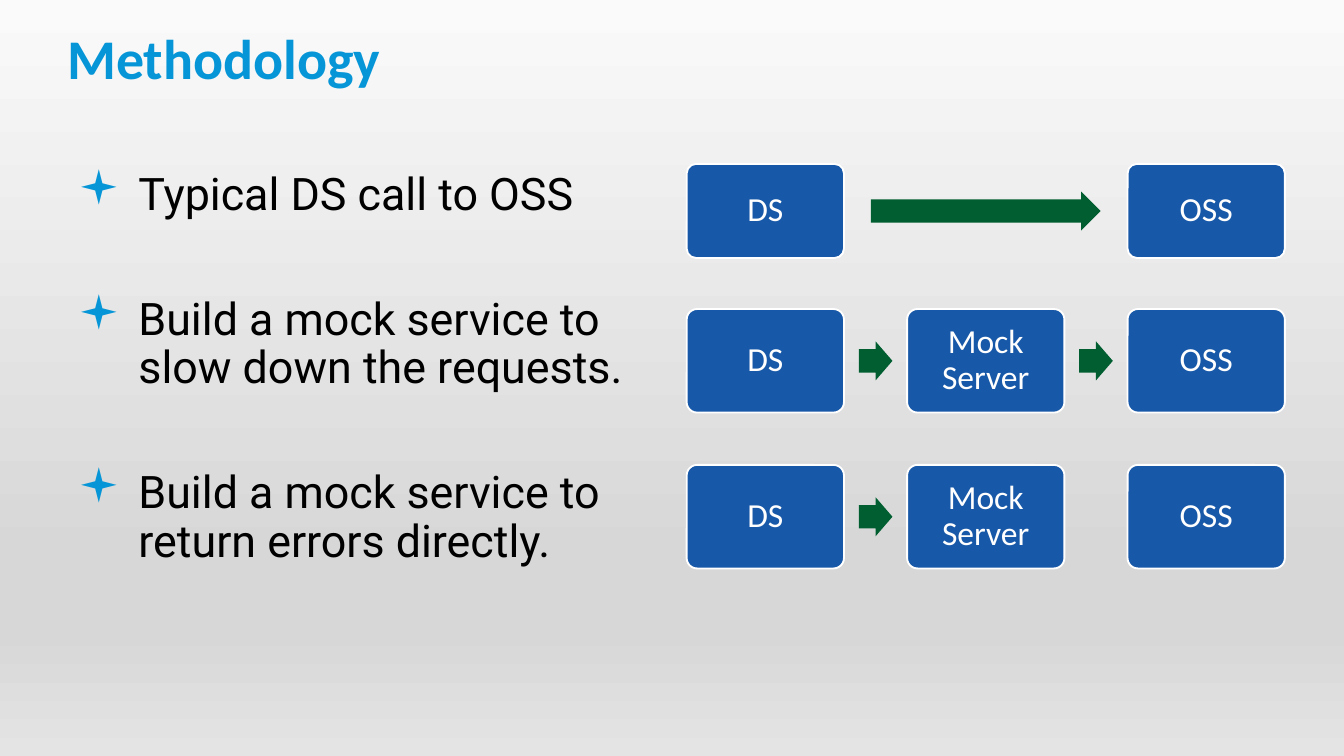
from lxml.etree import SubElement
from pptx import Presentation
from pptx.dml.color import RGBColor
from pptx.enum.shapes import MSO_SHAPE as SHAPE
from pptx.enum.text import MSO_ANCHOR as ANCHOR, PP_ALIGN as ALIGN
from pptx.oxml.ns import qn
from pptx.util import Inches, Pt

SKY = RGBColor(0x06, 0x96, 0xD7)
BLUE = RGBColor(0x18, 0x58, 0xA8)
GREEN = RGBColor(0x00, 0x5E, 0x30)
WHITE = RGBColor(0xFF, 0xFF, 0xFF)
BLACK = RGBColor(0x00, 0x00, 0x00)
BACKGROUND_STOPS = [
    (0, RGBColor(0xFA, 0xFA, 0xFA)),
    (74, RGBColor(0xD7, 0xD7, 0xD7)),
    (83, RGBColor(0xD7, 0xD7, 0xD7)),
    (100, RGBColor(0xE4, 0xE4, 0xE4)),
]

STEPS = [
    "Typical DS call to OSS",
    "Build a mock service to slow down the requests.",
    "Build a mock service to return errors directly.",
]
COLUMN_STEP = 1.64
NODE_WIDTH = 1.17
ARROW_HEIGHT = 0.29
FLOWS = [
    (1.22, 0.7, {0: "DS", 2: "OSS"}, [(0, 2, 1.71)]),
    (2.3, 0.77, {0: "DS", 1: "Mock Server", 2: "OSS"}, [(0, 1, 0.25), (1, 2, 0.25)]),
    (3.46, 0.77, {0: "DS", 1: "Mock Server", 2: "OSS"}, [(0, 1, 0.25)]),
]


def paint_background(slide):
    """Fill the slide with a vertical grey gradient."""
    fill = slide.background.fill
    fill.gradient()
    fill.gradient_angle = 270
    stops = next(slide.element.iter(qn("a:gsLst")))
    for stop in list(stops):
        stops.remove(stop)
    for percent, color in BACKGROUND_STOPS:
        stop = SubElement(stops, qn("a:gs"), pos=str(percent * 1000))
        SubElement(stop, qn("a:srgbClr"), val=str(color))


def add_run(paragraph, text, font_name, size, color, bold=False):
    """Add one styled run to a paragraph with tight lines."""
    paragraph.line_spacing = 0.9
    run = paragraph.add_run()
    run.text = text
    run.font.name = font_name
    run.font.size = Pt(size)
    run.font.bold = bold
    run.font.color.rgb = color


def add_text_frame(slide, left, top, width, height, inset=0):
    """Add a wrapping text box and return its text frame."""
    box = slide.shapes.add_textbox(Inches(left), Inches(top), Inches(width), Inches(height))
    frame = box.text_frame
    frame.word_wrap = True
    frame.margin_left = Inches(inset)
    frame.margin_top = frame.margin_right = frame.margin_bottom = 0
    return frame


def add_bullet(paragraph):
    """Give a paragraph a hanging square bullet."""
    properties = paragraph._p.get_or_add_pPr()
    properties.set("marL", str(Inches(0.45)))
    properties.set("indent", str(-Inches(0.45)))
    color = SubElement(properties, qn("a:buClr"))
    SubElement(color, qn("a:srgbClr"), val=str(SKY))
    SubElement(properties, qn("a:buSzPct"), val="105000")
    SubElement(properties, qn("a:buFont"), typeface="Wingdings")
    SubElement(properties, qn("a:buChar"), char="▪")


def add_title(slide, left, top, width, height):
    """Add the slide heading."""
    frame = add_text_frame(slide, left, top, width, height)
    add_run(frame.paragraphs[0], "Methodology", "Calibri", 30, SKY, bold=True)


def add_steps(slide, left, top, width, height):
    """Add the bulleted steps, spaced to sit beside the flows."""
    frame = add_text_frame(slide, left, top, width, height, inset=0.08)
    for index, step in enumerate(STEPS):
        paragraph = frame.add_paragraph() if index else frame.paragraphs[0]
        add_bullet(paragraph)
        if index:
            paragraph.space_before = Pt(41)
        add_run(paragraph, step, "Roboto", 24, BLACK)


def add_filled_shape(slide, kind, left, top, width, height, color):
    """Add a flat preset shape without an outline."""
    shape = slide.shapes.add_shape(kind, Inches(left), Inches(top), Inches(width), Inches(height))
    shape.shadow.inherit = False
    shape.fill.solid()
    shape.fill.fore_color.rgb = color
    shape.line.fill.background()
    return shape


def add_node(slide, left, top, height, label):
    """Add one labelled rounded box of a flow."""
    node = add_filled_shape(slide, SHAPE.ROUNDED_RECTANGLE, left, top, NODE_WIDTH, height, BLUE)
    node.adjustments[0] = 0.1
    node.line.color.rgb = WHITE
    node.line.width = Pt(1)
    frame = node.text_frame
    frame.word_wrap = True
    frame.vertical_anchor = ANCHOR.MIDDLE
    frame.margin_left = frame.margin_right = Inches(0.07)
    frame.margin_top = frame.margin_bottom = Inches(0.07)
    paragraph = frame.paragraphs[0]
    paragraph.alignment = ALIGN.CENTER
    add_run(paragraph, label, "Calibri", 18, WHITE)


def add_flow(slide, left, top, height, nodes, arrows):
    """Add a row of nodes with block arrows centred in the gaps."""
    for column, label in nodes.items():
        add_node(slide, left + column * COLUMN_STEP, top, height, label)
    for start, end, width in arrows:
        center = left + ((start + end) * COLUMN_STEP + NODE_WIDTH) / 2
        arrow = add_filled_shape(
            slide, SHAPE.RIGHT_ARROW, center - width / 2,
            top + (height - ARROW_HEIGHT) / 2, width, ARROW_HEIGHT, GREEN,
        )
        arrow.adjustments[0] = 0.6
        arrow.adjustments[1] = 0.5


def main():
    """Build and save the methodology slide."""
    presentation = Presentation()
    presentation.slide_width = Inches(10)
    presentation.slide_height = Inches(10) * 9 // 16
    slide = presentation.slides.add_slide(presentation.slide_layouts[6])
    paint_background(slide)
    add_title(slide, 0.5, 0.23, 9, 0.94)
    add_steps(slide, 0.5, 1.28, 4.42, 3.91)
    for top, height, nodes, arrows in FLOWS:
        add_flow(slide, 5.11, top, height, nodes, arrows)
    presentation.save("out.pptx")


if __name__ == "__main__":
    main()
